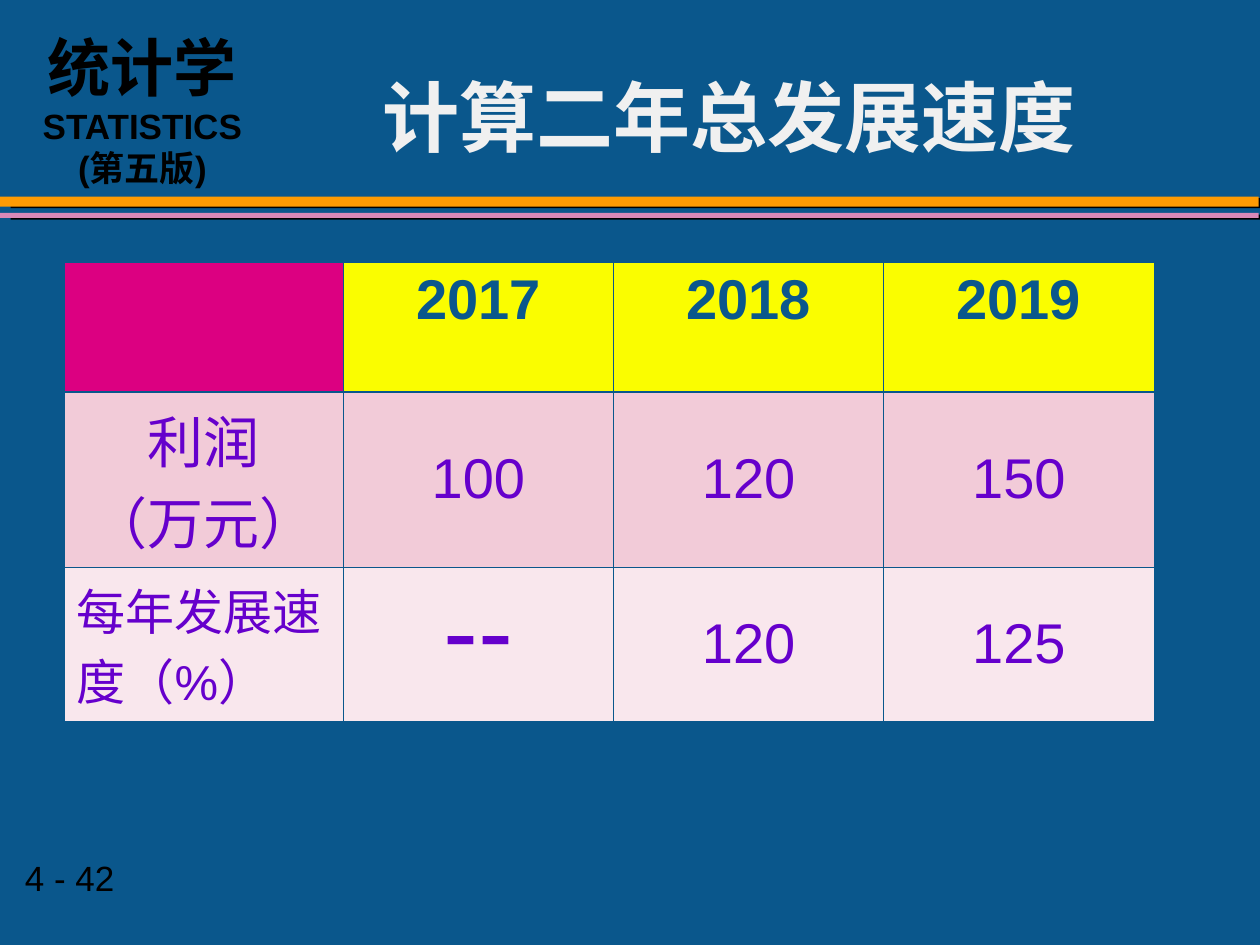
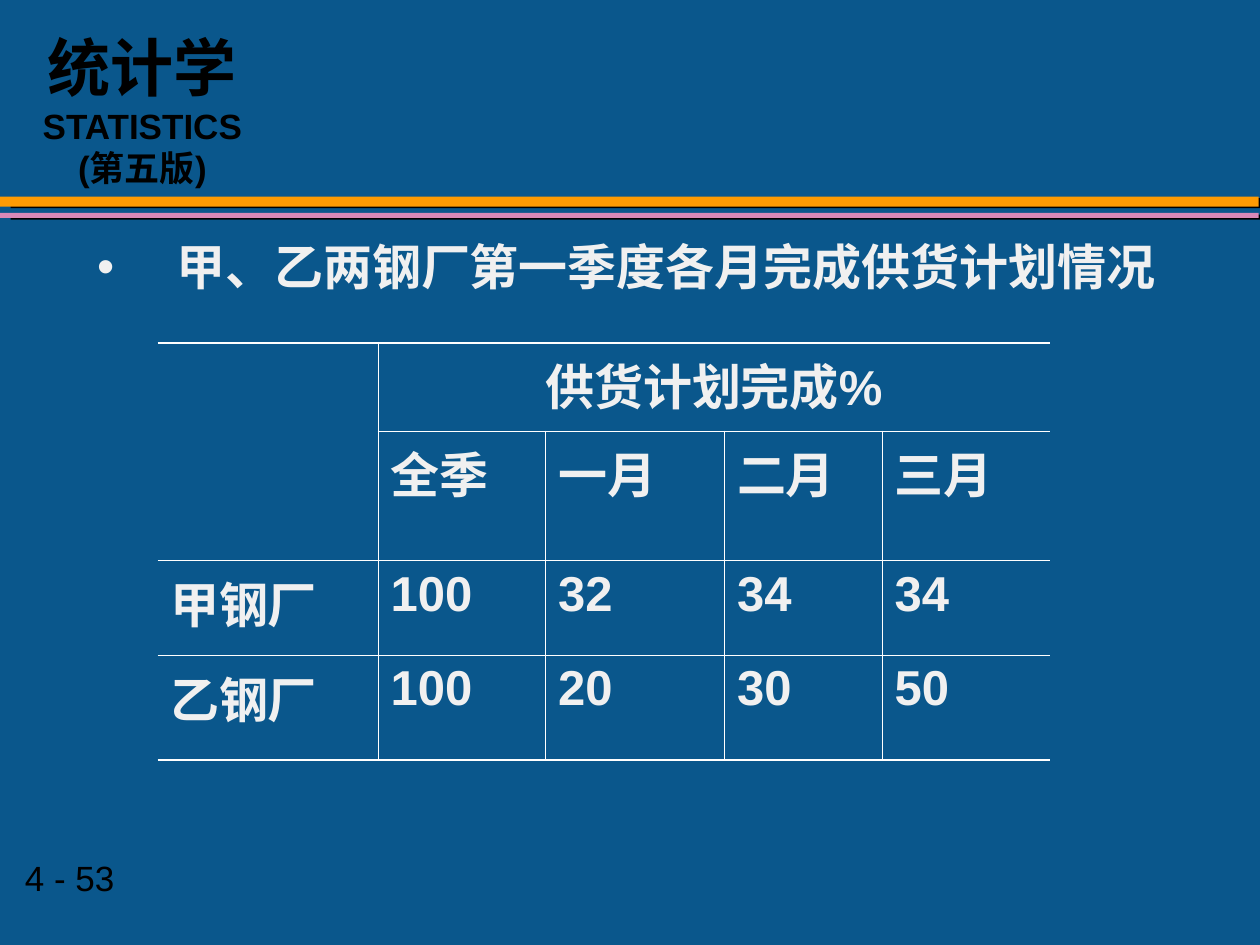
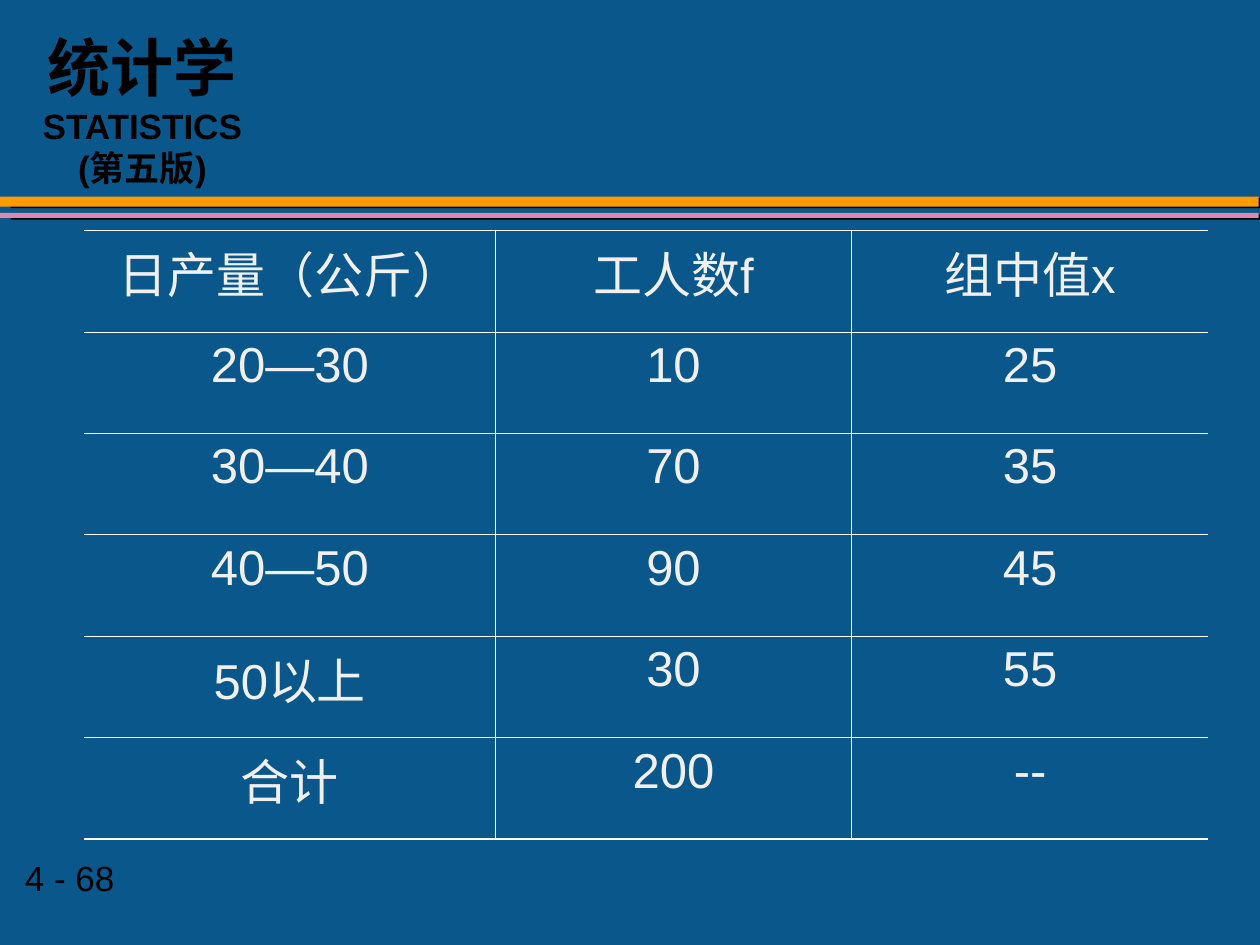
from lxml import etree
from pptx import Presentation
from pptx.dml.color import RGBColor
from pptx.enum.dml import MSO_THEME_COLOR
from pptx.enum.lang import MSO_LANGUAGE_ID
from pptx.enum.shapes import MSO_SHAPE
from pptx.enum.text import MSO_ANCHOR, MSO_AUTO_SIZE, PP_ALIGN
from pptx.oxml.ns import qn
from pptx.util import Inches, Pt

LEFT, CENTER = PP_ALIGN.LEFT, PP_ALIGN.CENTER
TOP, MIDDLE = MSO_ANCHOR.TOP, MSO_ANCHOR.MIDDLE
NO_FIT = MSO_AUTO_SIZE.NONE
RECT = MSO_SHAPE.RECTANGLE
CHINESE = MSO_LANGUAGE_ID.SIMPLIFIED_CHINESE

COLORS = {
    "background": "0A578C", "text": "F0F0F0", "black": "000000", "rule": "FFFFFF",
    "orange": "FE9B03", "pink": "D989B8", "corner": "DC0081", "header": "FAFD00",
    "violet": "6600CC", "rose": "F2CBD8", "pale": "F9E7ED",
}
BODY_FONT, TITLE_FONT = "Arial", "TeX Gyre Pagella"
NO_STYLE = "{2D5ABB26-0587-4C30-8999-92F81FD0307C}"
W, H = 10, 7.5

# Boxes: left, top, width, height in inches
TITLE_BOX = (2.08, 0.33, 7.42, 1.25)
BODY_BOX = (0.67, 1.83, 8.92, 4.83)
BRAND_BOX = (0.17, 0.18, 1.92, 1.36)
NUMBER_BOX = (0.1, 6.75, 1.87, 0.43)
BANDS = [("orange", (0, 1.56, 9.99, 0.08)), ("pink", (0, 1.69, 9.99, 0.04))]


def rgb(name):
    return RGBColor.from_string(COLORS[name])


def inches(box):
    return [Inches(v) for v in box]


def place(shape, box):
    for name, value in zip(("left", "top", "width", "height"), inches(box)):
        setattr(shape, name, value)


def add_run(p, text, size, color="text", bold=False, font=BODY_FONT):
    r = p.add_run()
    r.text = text
    look = {"name": font, "size": Pt(size), "bold": bold, "language_id": CHINESE}
    for name, value in look.items():
        setattr(r.font, name, value)
    r.font.color.rgb = rgb(color)


def text_frame(shape, wrap=True, anchor=TOP):
    tf = shape.text_frame
    look = {"word_wrap": wrap, "auto_size": NO_FIT, "vertical_anchor": anchor}
    for name, value in look.items():
        setattr(tf, name, value)
    return tf


# Shared slide parts
def add_band(s, color, box):
    sp = s.shapes.add_shape(RECT, *inches(box))
    sp.fill.solid()
    sp.fill.fore_color.rgb = rgb(color)
    sp.line.fill.background()
    effects = etree.SubElement(sp._element.spPr, qn("a:effectLst"))
    shadow = etree.SubElement(effects, qn("a:outerShdw"), blurRad="0",
                              dist=str(Pt(6.1)), dir=str(9 * 60000),
                              algn="ctr", rotWithShape="0")
    etree.SubElement(shadow, qn("a:srgbClr"), val=COLORS["black"])


def add_brand(s):
    tf = text_frame(s.shapes.add_textbox(*inches(BRAND_BOX)))
    p = tf.paragraphs[0]
    p.alignment = CENTER
    add_run(p, "统计学", 36, "black", True)
    add_run(p, "STATISTICS", 20, "black", True)
    p = tf.add_paragraph()
    p.alignment = CENTER
    add_run(p, "(第五版)", 20, "black", True)


def new_slide(prs, layout, number):
    s = prs.slides.add_slide(prs.slide_layouts.get_by_name(layout))
    for color, box in BANDS:
        add_band(s, color, box)
    tf = text_frame(s.shapes.add_textbox(*inches(NUMBER_BOX)), wrap=False)
    add_run(tf.paragraphs[0], f"4 - {number}", 20, "black")
    add_brand(s)
    return s


def set_title(s, text):
    place(s.shapes.title, TITLE_BOX)
    p = text_frame(s.shapes.title, anchor=MIDDLE).paragraphs[0]
    p.alignment, p.line_spacing = CENTER, 0.95
    add_run(p, text, 44, bold=True, font=TITLE_FONT)


def set_bullet(s, text):
    body = s.placeholders[1]
    place(body, BODY_BOX)
    p = text_frame(body).paragraphs[0]
    pPr = p._p.get_or_add_pPr()
    pPr.set("marL", str(Inches(0.63)))
    pPr.set("indent", str(-Inches(0.63)))
    color = etree.SubElement(pPr, qn("a:buClr"))
    etree.SubElement(color, qn("a:srgbClr"), val=COLORS["text"])
    etree.SubElement(pPr, qn("a:buChar"), char="•")
    p.alignment, p.space_before = LEFT, Pt(0)
    add_run(p, text, 28, bold=True)


# Tables
def add_edge(cell, side, color, width):
    ln = etree.SubElement(cell._tc.get_or_add_tcPr(), qn(f"a:ln{side}"), w=str(Pt(width)))
    fill = etree.SubElement(ln, qn("a:solidFill"))
    etree.SubElement(fill, qn("a:srgbClr"), val=COLORS[color])


def set_edges(cell, row, col, n_cols, color, heavy, open_sides):
    """Draws a cell's edges; heavy maps a horizontal rule's index to its width."""
    right, bottom = col + cell.span_width, row + cell.span_height
    for side, line in (("L", col), ("R", right)):
        if not (open_sides and line in (0, n_cols)):
            add_edge(cell, side, color, 0.45)
    for side, line in (("T", row), ("B", bottom)):
        add_edge(cell, side, color, heavy.get(line, 0.45))


def fill_cell(cell, text, size=28, color="text", bold=False, align=LEFT,
              anchor=TOP, fill=None):
    if fill:
        cell.fill.solid()
        cell.fill.fore_color.rgb = rgb(fill)
    else:
        cell.fill.background()
    cell.vertical_anchor = anchor
    for i, line in enumerate(text.split("\n") if text else []):
        p = cell.text_frame.add_paragraph() if i else cell.text_frame.paragraphs[0]
        p.alignment = align
        add_run(p, line, size, color, bold)


def add_grid(s, box, cols, rows, texts, look, rule, heavy, open_sides=True, merges=()):
    """Shares the box out by column and row weights; look(row, col) formats a cell."""
    gf = s.shapes.add_table(len(rows), len(cols), *inches(box))
    table = gf.table
    table._tbl.tblPr.find(qn("a:tableStyleId")).text = NO_STYLE
    table.first_row = table.horz_banding = False
    for column, weight in zip(table.columns, cols):
        column.width = Inches(box[2] * weight / sum(cols))
    for row, weight in zip(table.rows, rows):
        row.height = Inches(box[3] * weight / sum(rows))
    for first, last in merges:
        table.cell(*first).merge(table.cell(*last))
    for r, line in enumerate(texts):
        for c, text in enumerate(line):
            cell = table.cell(r, c)
            if not cell.is_spanned:
                set_edges(cell, r, c, len(cols), rule, heavy, open_sides)
                fill_cell(cell, text, **look(r, c))


# Slides
def growth_slide(prs):
    s = new_slide(prs, "Title Only", 42)
    set_title(s, "计算二年总发展速度")
    texts = [["", "2017", "2018", "2019"],
             ["利润\n（万元）", "100", "120", "150"],
             ["每年发展速度（%）", "--", "120", "125"]]

    def look(r, c):
        if r == 0:
            return {"size": 32, "color": "background", "bold": True, "align": CENTER,
                    "fill": "header" if c else "corner"}
        return {"size": {(2, 0): 28, (2, 1): 60}.get((r, c), 32), "color": "violet",
                "align": LEFT if (r, c) == (2, 0) else CENTER,
                "anchor": TOP if c == 0 or (r, c) == (2, 1) else MIDDLE,
                "fill": "rose" if r == 1 else "pale"}

    add_grid(s, (0.51, 2.08, 8.65, 3.63), [2.22, 2.15, 2.15, 2.15], [1.03, 1.38, 1.22],
             texts, look, "background", {1: 1.47}, open_sides=False)


def supply_slide(prs):
    s = new_slide(prs, "Title and Content", 53)
    title = s.shapes.title._element
    title.getparent().remove(title)
    set_bullet(s, "甲、乙两钢厂第一季度各月完成供货计划情况")
    texts = [["", "供货计划完成%", "", "", ""],
             ["", "全季", "一月", "二月", "三月"],
             ["甲钢厂", "100", "32", "34", "34"],
             ["乙钢厂", "100", "20", "30", "50"]]

    def look(r, c):
        return {"bold": True, "align": CENTER if r == 0 else LEFT}

    add_grid(s, (1.25, 2.72, 7.08, 3.31), [1.75, 1.33, 1.42, 1.25, 1.33],
             [0.7, 1.03, 0.75, 0.83], texts, look, "rule", {0: 1.08, 4: 1.08},
             merges=[((0, 0), (1, 0)), ((0, 1), (0, 4))])


def output_slide(prs):
    s = new_slide(prs, "Blank", 68)
    texts = [["日产量（公斤）", "工人数f", "组中值x"],
             ["20—30", "10", "25"],
             ["30—40", "70", "35"],
             ["40—50", "90", "45"],
             ["50以上", "30", "55"],
             ["合计", "200", "--"]]
    add_grid(s, BODY_BOX, [3.26, 2.83, 2.83], [1] * len(texts), texts,
             lambda r, c: {"align": CENTER}, "rule", {0: 1.08, 6: 1.08})


def main():
    prs = Presentation()
    prs.slide_width, prs.slide_height = Inches(W), Inches(H)
    background = prs.slide_master.background.fill
    background.solid()
    background.fore_color.rgb = rgb("background")
    growth_slide(prs)
    supply_slide(prs)
    output_slide(prs)
    prs.save("out.pptx")


if __name__ == "__main__":
    main()
